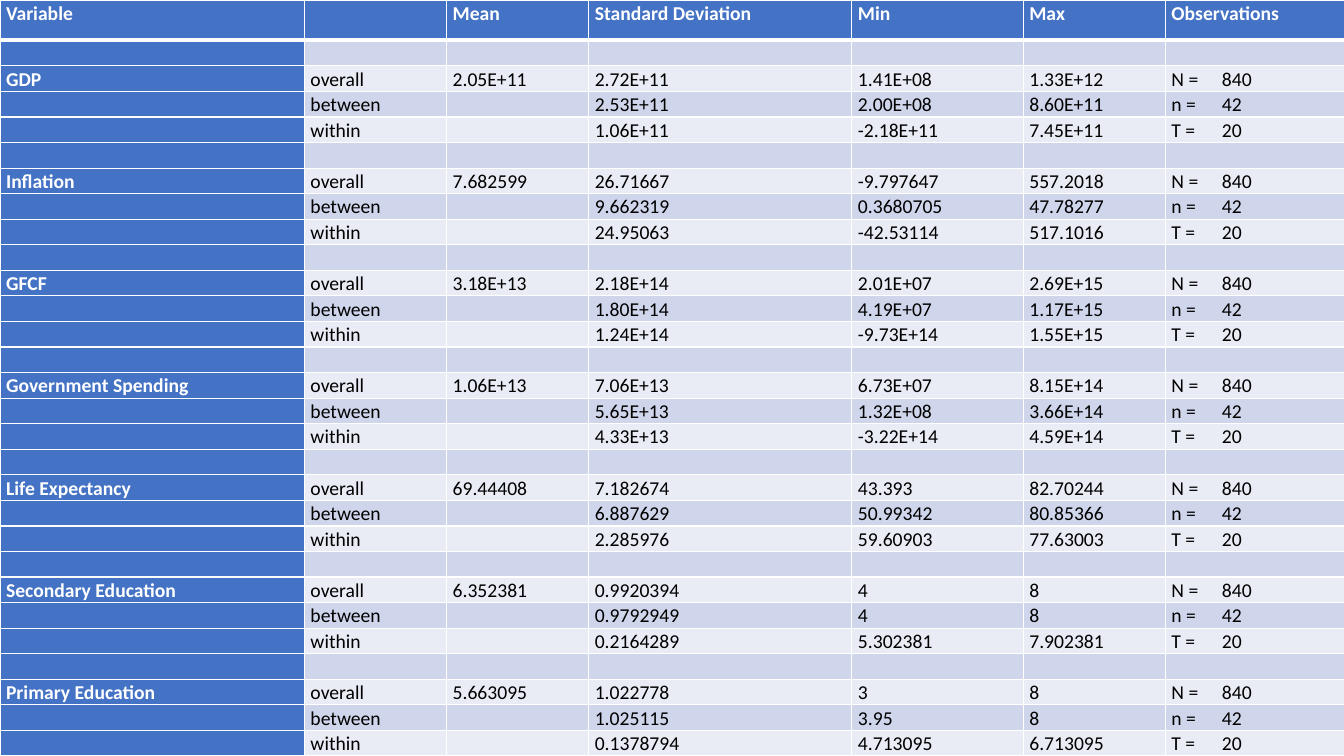
"""Build a slide with a table of panel summary statistics."""
import dataclasses

import lxml.etree
import pptx
import pptx.dml.color
import pptx.oxml.ns
import pptx.table
import pptx.util

Inches = pptx.util.Inches
RGB = pptx.dml.color.RGBColor
qn = pptx.oxml.ns.qn

BLUE = RGB(0x44, 0x72, 0xC4)
DARK = RGB(0xCF, 0xD5, 0xEA)
LIGHT = RGB(0xE9, 0xEB, 0xF5)
WHITE = RGB(0xFF, 0xFF, 0xFF)
BLACK = RGB(0, 0, 0)

WIDE, HIGH, HEAD = 13.33, 7.5, 0.4
COLS = (3.02, 1.41, 1.41, 2.61, 1.7, 1.41, 1.78)
TITLES = ("Variable", "", "Mean", "Standard Deviation", "Min", "Max",
          "Observations")
KINDS = ("overall", "between", "within")
COUNTS = ("N =\t840", "n =\t42", "T =\t20")
SIZE = pptx.util.Pt(14)
TAB = Inches(0.5)


@dataclasses.dataclass(frozen=True)
class Group:
    name: str
    mean: str
    stats: tuple[tuple[str, str, str], ...]

    def rows(self) -> list[tuple[str, ...]]:
        heads = ((self.name, self.mean), ("", ""), ("", ""))
        return [("",) * len(COLS)] + [
            (name, kind, mean, *stat, count)
            for (name, mean), kind, stat, count
            in zip(heads, KINDS, self.stats, COUNTS)]


GROUPS = (
    Group("GDP", "2.05E+11", (
        ("2.72E+11", "1.41E+08", "1.33E+12"),
        ("2.53E+11", "2.00E+08", "8.60E+11"),
        ("1.06E+11", "-2.18E+11", "7.45E+11"))),
    Group("Inflation", "7.682599", (
        ("26.71667", "-9.797647", "557.2018"),
        ("9.662319", "0.3680705", "47.78277"),
        ("24.95063", "-42.53114", "517.1016"))),
    Group("GFCF", "3.18E+13", (
        ("2.18E+14", "2.01E+07", "2.69E+15"),
        ("1.80E+14", "4.19E+07", "1.17E+15"),
        ("1.24E+14", "-9.73E+14", "1.55E+15"))),
    Group("Government Spending", "1.06E+13", (
        ("7.06E+13", "6.73E+07", "8.15E+14"),
        ("5.65E+13", "1.32E+08", "3.66E+14"),
        ("4.33E+13", "-3.22E+14", "4.59E+14"))),
    Group("Life Expectancy", "69.44408", (
        ("7.182674", "43.393", "82.70244"),
        ("6.887629", "50.99342", "80.85366"),
        ("2.285976", "59.60903", "77.63003"))),
    Group("Secondary Education", "6.352381", (
        ("0.9920394", "4", "8"),
        ("0.9792949", "4", "8"),
        ("0.2164289", "5.302381", "7.902381"))),
    Group("Primary Education", "5.663095", (
        ("1.022778", "3", "8"),
        ("1.025115", "3.95", "8"),
        ("0.1378794", "4.713095", "6.713095"))),
)


def edge(cell: pptx.table._Cell, row: int) -> None:
    """Draw the white cell borders, thick below the header."""
    props = cell._tc.get_or_add_tcPr()
    thick = {0: "lnB", 1: "lnT"}.get(row)
    for spot, side in enumerate(("lnL", "lnR", "lnT", "lnB")):
        width = pptx.util.Pt(3 if side == thick else 1)
        line = lxml.etree.Element(qn("a:" + side), w=str(int(width)))
        fill = lxml.etree.SubElement(line, qn("a:solidFill"))
        lxml.etree.SubElement(fill, qn("a:srgbClr"), val=str(WHITE))
        props.insert(spot, line)


def write(cell: pptx.table._Cell, text: str, bold: bool) -> None:
    """Put one line of text in a cell."""
    cell.margin_left = cell.margin_right = Inches(0.06)
    cell.margin_top = cell.margin_bottom = 0
    para = cell.text_frame.paragraphs[0]
    para.line_spacing = 1.07
    if not text:
        lxml.etree.SubElement(para._p, qn("a:endParaRPr"),
                              sz=str(int(SIZE.pt * 100)))
        return
    if "\t" in text:
        tabs = lxml.etree.SubElement(para._p.get_or_add_pPr(),
                                     qn("a:tabLst"))
        lxml.etree.SubElement(tabs, qn("a:tab"), pos=str(int(TAB)), algn="l")
    run = para.add_run()
    run.text = text
    run.font.name = "Calibri"
    run.font.size = SIZE
    run.font.bold = bold
    run.font.color.rgb = WHITE if bold else BLACK


def main() -> None:
    """Build and save the slide."""
    deck = pptx.Presentation()
    deck.slide_width, deck.slide_height = Inches(WIDE), Inches(HIGH)
    slide = deck.slides.add_slide(deck.slide_layouts[6])
    rows = [TITLES] + [row for group in GROUPS for row in group.rows()]
    table = slide.shapes.add_table(len(rows), len(COLS), 0, 0,
                                   Inches(WIDE), Inches(HIGH)).table
    table.first_row = table.horz_banding = False
    for col, width in zip(table.columns, COLS):
        col.width = Inches(width)
    step = (HIGH - HEAD) / (len(rows) - 1)
    for y, row in enumerate(rows):
        table.rows[y].height = Inches(step if y else HEAD)
        for x, text in enumerate(row):
            cell = table.cell(y, x)
            title = x == 0 or y == 0
            cell.fill.solid()
            cell.fill.fore_color.rgb = (
                BLUE if title else DARK if y % 2 else LIGHT)
            edge(cell, y)
            write(cell, text, title)
    deck.save("out.pptx")


if __name__ == "__main__":
    main()
